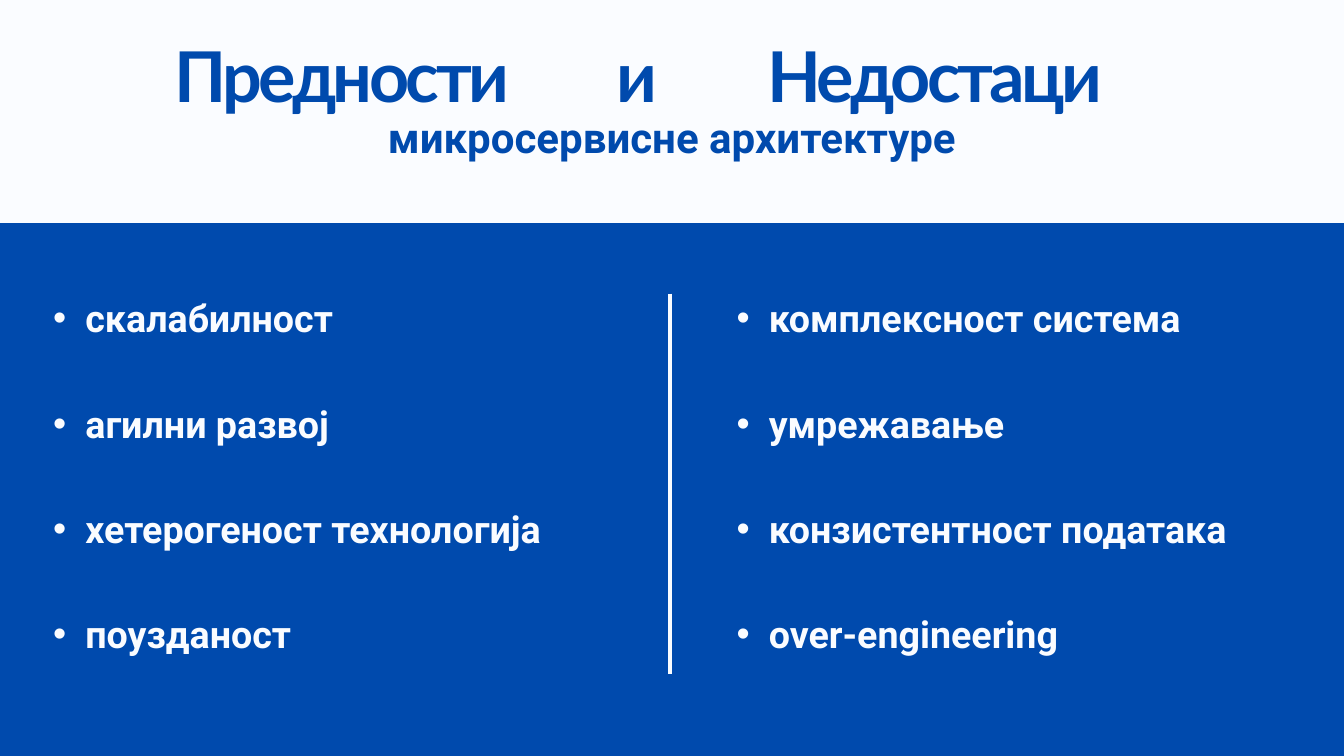
from lxml import etree
from pptx import Presentation
from pptx.dml.color import RGBColor as RGB
from pptx.enum.shapes import MSO_CONNECTOR as Line, MSO_SHAPE as Shape
from pptx.enum.text import MSO_ANCHOR as Anchor, MSO_AUTO_SIZE as Fit, PP_ALIGN as Align
from pptx.oxml.ns import qn
from pptx.util import Inches, Pt

COLORS = {"blue": "004AAD", "light": "FAFCFF"}
PROS = ["скалабилност", "агилни развој", "хетерогеност технологија", "поузданост"]
CONS = ["комплексност система", "умрежавање", "конзистентност података",
        "over-engineering"]


def color(name):
    return RGB.from_string(COLORS[name])


def place(shape, left, top, width, height):
    """Move a text shape and clear its margins."""
    shape.left, shape.top = Inches(left), Inches(top)
    shape.width, shape.height = Inches(width), Inches(height)
    frame = shape.text_frame
    frame.margin_left = frame.margin_right = 0
    frame.margin_top = frame.margin_bottom = 0
    frame.word_wrap = True
    frame.auto_size = Fit.NONE
    frame.vertical_anchor = Anchor.TOP
    return frame


def style(para, face, size, tone, pitch, align=Align.LEFT):
    para.alignment = align
    para.line_spacing = Pt(pitch)
    for run in para.runs:
        font = run.font
        font.name, font.size, font.bold = face, Pt(size), True
        font.color.rgb = color(tone)


def add_tabs(para, stops):
    tabs = etree.SubElement(para._p.get_or_add_pPr(), qn("a:tabLst"))
    for stop in stops:
        etree.SubElement(tabs, qn("a:tab"), pos=str(Inches(stop)), algn="l")


def add_bullet(para):
    props = para._p.get_or_add_pPr()
    props.set("marL", str(Inches(0.95)))
    props.set("indent", str(Inches(-0.48)))
    etree.SubElement(props, qn("a:buFont"), typeface="Arial")
    etree.SubElement(props, qn("a:buChar"), char="•")


def fill_title(shape):
    frame = place(shape, 2.59, 0.64, 16.8, 1.14)
    frame.text = "Предности\tи\tНедостаци"
    para = frame.paragraphs[0]
    add_tabs(para, [6.58, 8.83])
    style(para, "Lato", 75, "blue", 78.8)
    for run in para.runs:
        run.font._element.set("spc", "-380")


def add_subtitle(slide):
    box = slide.shapes.add_textbox(0, 0, 0, 0)
    frame = place(box, 5.25, 1.54, 9.5, 0.84)
    frame.text = "микросервисне архитектуре"
    style(frame.paragraphs[0], "Roboto", 45, "blue", 63, Align.CENTER)


def fill_list(shape, left, width, items):
    frame = place(shape, left, 4.28, width, 5.4)
    frame.text = "\n".join(items)
    for i, para in enumerate(frame.paragraphs):
        add_bullet(para)
        style(para, "Roboto", 40.3, "light", 56.4)
        para.space_before = Pt(56.4 if i else 0)


def add_band(slide):
    """Put the blue band behind everything else."""
    band = slide.shapes.add_shape(Shape.RECTANGLE, 0, Inches(3.32),
                                  Inches(20), Inches(7.93))
    band.shadow.inherit = False
    band.fill.solid()
    band.fill.fore_color.rgb = color("blue")
    band.line.fill.background()
    slide.shapes.title.element.addprevious(band.element)


def add_divider(slide):
    line = slide.shapes.add_connector(Line.STRAIGHT, Inches(9.97), Inches(4.37),
                                      Inches(9.97), Inches(10.03))
    line.line.color.rgb = color("light")
    line.line.width = Pt(3.75)
    etree.SubElement(line.element.spPr, qn("a:effectLst"))


def main():
    deck = Presentation()
    deck.slide_width, deck.slide_height = Inches(20), Inches(11.25)
    slide = deck.slides.add_slide(deck.slide_layouts[3])
    back = slide.background.fill
    back.solid()
    back.fore_color.rgb = color("light")

    title, left, right = slide.placeholders
    add_band(slide)
    fill_title(title)
    add_subtitle(slide)
    add_divider(slide)
    fill_list(left, 0.32, 9.4, PROS)
    fill_list(right, 10.49, 8.93, CONS)
    deck.save("out.pptx")


if __name__ == "__main__":
    main()
